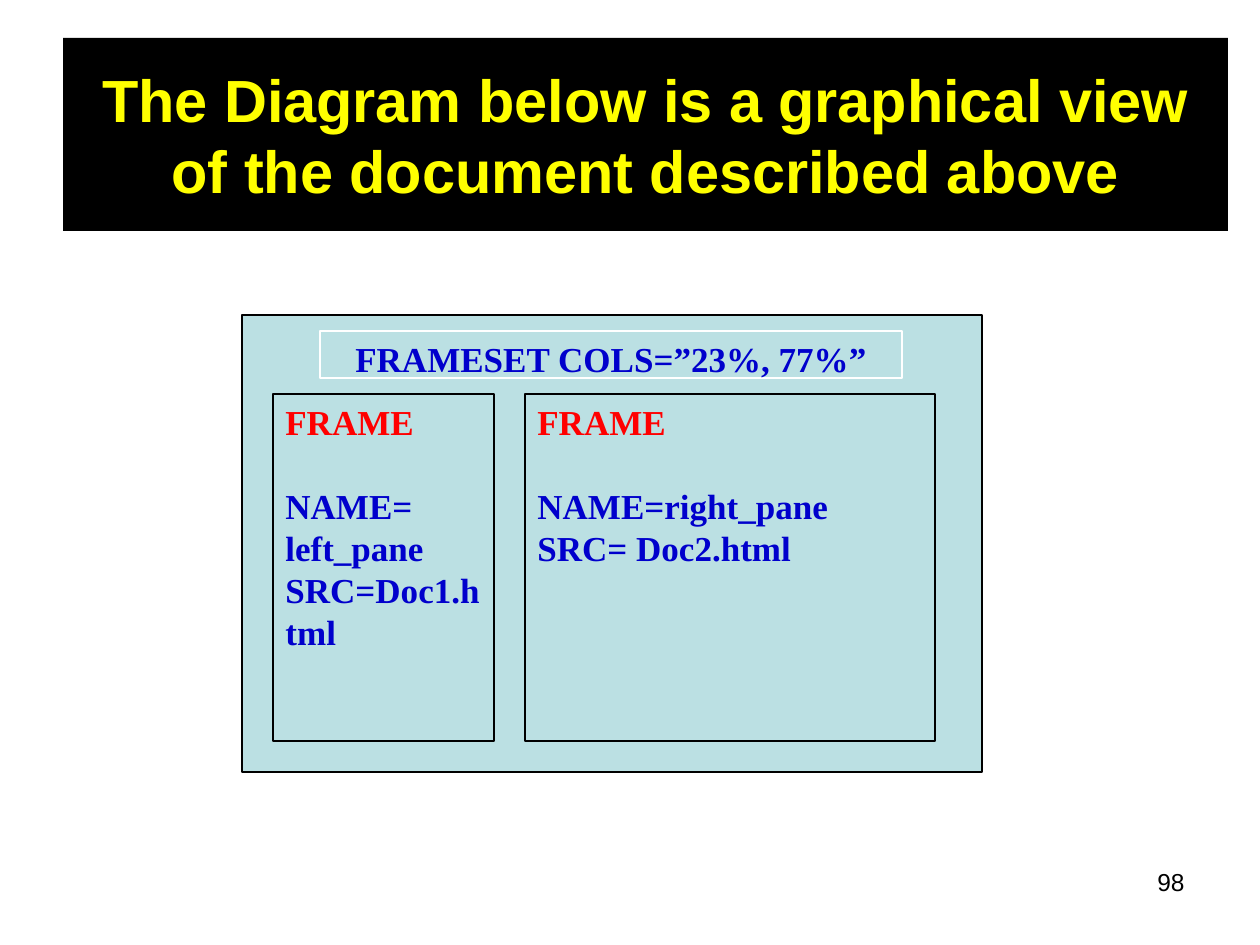
"""Builds a slide showing a two-column HTML frameset as nested boxes."""
from pptx import Presentation
from pptx.dml.color import RGBColor
from pptx.enum.shapes import MSO_SHAPE
from pptx.enum.text import MSO_ANCHOR, MSO_AUTO_SIZE, PP_ALIGN
from pptx.util import Pt

PX = 914400 // 126
RECT = MSO_SHAPE.RECTANGLE
LEFT, CENTER, RIGHT = PP_ALIGN.LEFT, PP_ALIGN.CENTER, PP_ALIGN.RIGHT
TOP, MIDDLE = MSO_ANCHOR.TOP, MSO_ANCHOR.MIDDLE
NO_FIT = MSO_AUTO_SIZE.NONE
COLORS = {
    "black": "000000",
    "white": "FFFFFF",
    "yellow": "FFFF00",
    "pane": "BBE0E3",
    "blue": "0000CC",
    "red": "FF0000",
}


class FrameSlide:
    """Holds the style and the current slide."""

    def __init__(self, deck):
        self.slide = deck.slides.add_slide(deck.slide_layouts[5])
        self.diagram = self.slide.shapes.add_group_shape()
        self.heading_font = "Arial"
        self.code_font = "Times New Roman"

    def color(self, name):
        return RGBColor.from_string(COLORS[name])

    def set_text(self, shape, lines, font, size, bold=False, align=LEFT, anchor=TOP):
        frame = shape.text_frame
        frame.word_wrap = True
        frame.auto_size = NO_FIT
        frame.vertical_anchor = anchor
        frame.text = "\n".join(text for text, _ in lines)
        for paragraph, (_, color) in zip(frame.paragraphs, lines):
            paragraph.alignment = align
            paragraph.font.name = font
            paragraph.font.size = Pt(size)
            paragraph.font.bold = bold
            paragraph.font.color.rgb = self.color(color)

    def title(self, text, left, top, width, height):
        title = self.slide.shapes.title
        title.left, title.top = left * PX, top * PX
        title.width, title.height = width * PX, height * PX
        title.fill.solid()
        title.fill.fore_color.rgb = self.color("black")
        self.set_text(title, [(text, "yellow")], self.heading_font, 34, True, CENTER, MIDDLE)

    def page_number(self, text, left, top, width, height):
        number = self.slide.shapes.add_textbox(left * PX, top * PX, width * PX, height * PX)
        self.set_text(number, [(text, "black")], self.heading_font, 14, align=RIGHT)

    def box(self, left, top, width, height, outline="black"):
        box = self.diagram.shapes.add_shape(RECT, left * PX, top * PX, width * PX, height * PX)
        box.shadow.inherit = False
        box.fill.solid()
        box.fill.fore_color.rgb = self.color("pane")
        box.line.color.rgb = self.color(outline)
        box.line.width = Pt(0.75)
        return box

    def header(self, text, left, top, width, height):
        header = self.box(left, top, width, height, "white")
        self.set_text(header, [(text, "blue")], self.code_font, 20, True, CENTER)

    def frame(self, attributes, left, top, width, height):
        frame = self.box(left, top, width, height)
        lines = [("FRAME", "red")] + [(text, "blue") for text in attributes]
        self.set_text(frame, lines, self.code_font, 20, True)
        frame.text_frame.paragraphs[0].space_after = Pt(24)


def main():
    deck = Presentation()
    deck.slide_width, deck.slide_height = 1260 * PX, 945 * PX
    page = FrameSlide(deck)
    page.title("The Diagram below is a graphical view of the document described above",
               63, 38, 1165, 193)
    page.box(242, 315, 740, 457)
    page.header("FRAMESET COLS=”23%, 77%”", 320, 331, 582, 47)
    page.frame(["NAME=right_pane", "SRC= Doc2.html"], 525, 394, 410, 347)
    page.frame(["NAME= left_pane", "SRC=Doc1.html"], 273, 394, 221, 347)
    page.page_number("98", 903, 861, 294, 66)
    deck.save("out.pptx")


if __name__ == "__main__":
    main()
